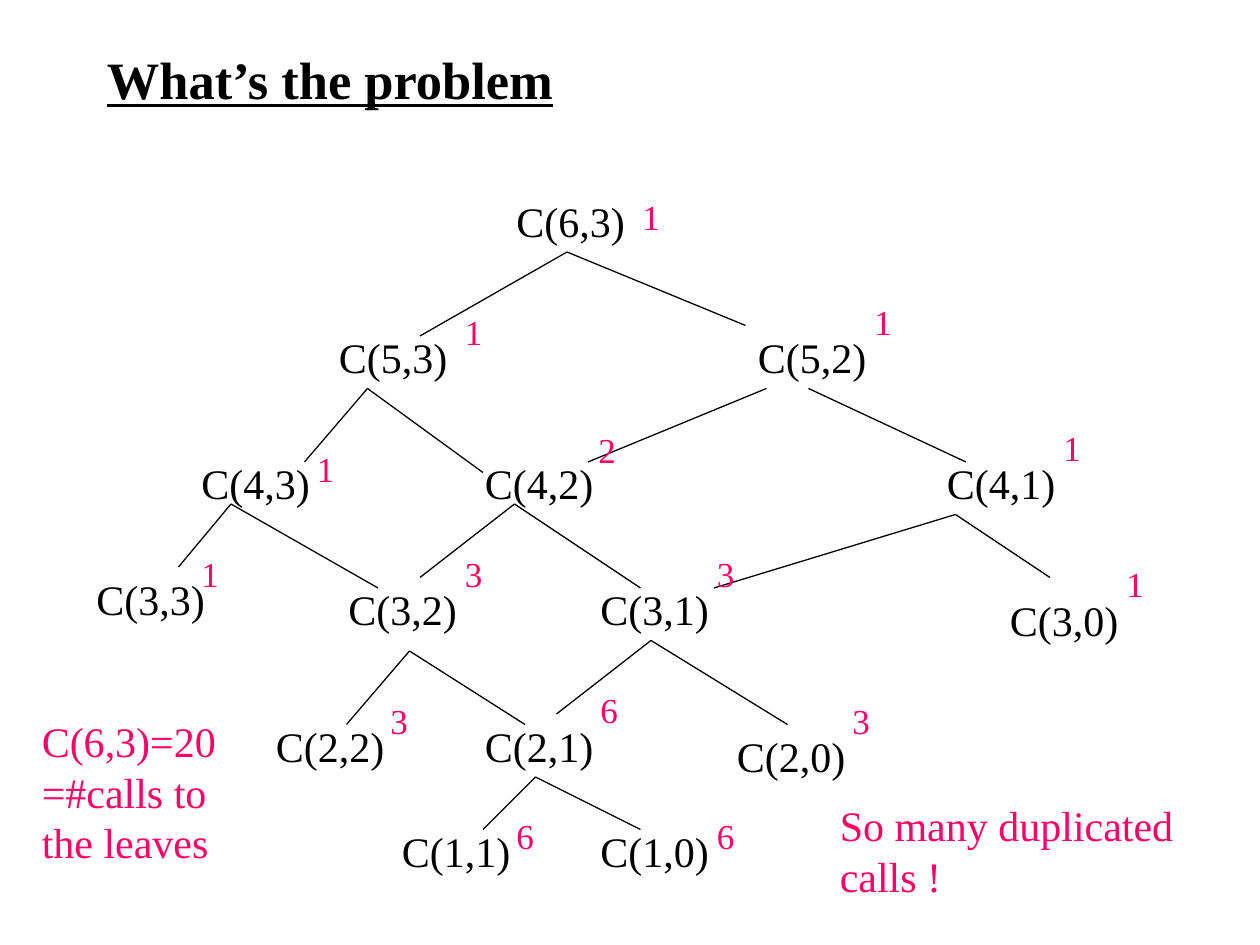
import pptx
import pptx.dml.color
import pptx.enum.shapes
import pptx.enum.text
import pptx.oxml.ns
import pptx.util
from lxml import etree

PX = 7620  # 120 px to the inch
FONT = "Times New Roman"
COLORS = {"ink": "000000", "accent": "FF0066"}

# label, left, top, number of calls, offset of that number from the label
NODES = [
    ("C(6,3)", 400, 0, "1", 120, 0),
    ("C(5,3)", 231, 130, "1", 120, -20),
    ("C(5,2)", 630, 130, "1", 111, -30),
    ("C(4,3)", 100, 250, "1", 110, -10),
    ("C(4,2)", 370, 250, "2", 108, -28),
    ("C(4,1)", 810, 250, "1", 111, -30),
    ("C(3,3)", 0, 360, "1", 100, -20),
    ("C(3,2)", 240, 370, "3", 111, -30),
    ("C(3,1)", 480, 370, "3", 111, -30),
    ("C(3,0)", 870, 380, "1", 111, -30),
    ("C(2,2)", 171, 500, "3", 109, -20),
    ("C(2,1)", 370, 500, "6", 110, -30),
    ("C(2,0)", 610, 510, "3", 110, -30),
    ("C(1,1)", 291, 600, "6", 109, -10),
    ("C(1,0)", 480, 600, "6", 111, -10),
]

# parent end, then the child ends
BRANCHES = [
    ((460, 60), [(320, 140), (630, 130)]),
    ((270, 190), [(210, 260), (380, 270)]),
    ((650, 190), [(480, 260)]),
    ((690, 190), [(840, 260)]),
    ((140, 300), [(90, 360), (280, 380)]),
    ((410, 300), [(320, 370), (530, 380)]),
    ((830, 310), [(600, 380), (920, 370)]),
    ((310, 440), [(250, 510), (420, 510)]),
    ((540, 430), [(450, 500), (670, 510)]),
    ((430, 560), [(380, 610), (530, 610)]),
]


def px(value):
    return pptx.util.Emu(value * PX)


def add_text(page, box, lines, size, color, wrap=False):
    shape = page.shapes.add_textbox(*map(px, box))
    frame = shape.text_frame
    frame.word_wrap = wrap
    frame.text = "\n".join(lines)
    for para in frame.paragraphs:
        font = para.runs[0].font
        font.name = FONT
        font.size = pptx.util.Pt(size)
        font.color.rgb = pptx.dml.color.RGBColor.from_string(COLORS[color])
    return shape


def add_branch(page, start, end):
    line = page.shapes.add_connector(
        pptx.enum.shapes.MSO_CONNECTOR.STRAIGHT, *map(px, start + end))
    line.line.color.rgb = pptx.dml.color.RGBColor.from_string(COLORS["ink"])
    line.line.width = pptx.util.Pt(0.75)
    properties = line._element.spPr
    etree.SubElement(properties, pptx.oxml.ns.qn("a:effectLst"))


def add_title(page, box):
    shape = add_text(page, box, ["What’s the problem"], 30, "ink", wrap=True)
    shape.text_frame.vertical_anchor = pptx.enum.text.MSO_ANCHOR.MIDDLE
    font = shape.text_frame.paragraphs[0].runs[0].font
    font.bold = True
    font.underline = True


def add_call_tree(page, left, top):
    """Draw the recursion tree, with the number of calls beside each node."""
    for (x, y), children in BRANCHES:
        for child_x, child_y in children:
            add_branch(page, (left + x, top + y),
                       (left + child_x, top + child_y))
    for label, x, y, calls, shift_x, shift_y in NODES:
        node_left, node_top = left + x, top + y
        add_text(page, (node_left, node_top, 127, 60), [label], 24, "ink")
        add_text(page, (node_left + shift_x, node_top + shift_y, 41, 53),
                 [calls], 20, "accent")


def main():
    deck = pptx.Presentation()
    deck.slide_width = px(1200)
    deck.slide_height = px(900)
    page = deck.slides.add_slide(deck.slide_layouts[6])
    add_title(page, (90, 40, 810, 70))
    add_call_tree(page, 80, 180)
    add_text(page, (788, 756, 342, 108),
             ["So many duplicated", "calls !"], 24, "accent")
    add_text(page, (28, 676, 190, 156),
             ["C(6,3)=20", "=#calls to", "the leaves"], 24, "accent")
    deck.save("out.pptx")


if __name__ == "__main__":
    main()
